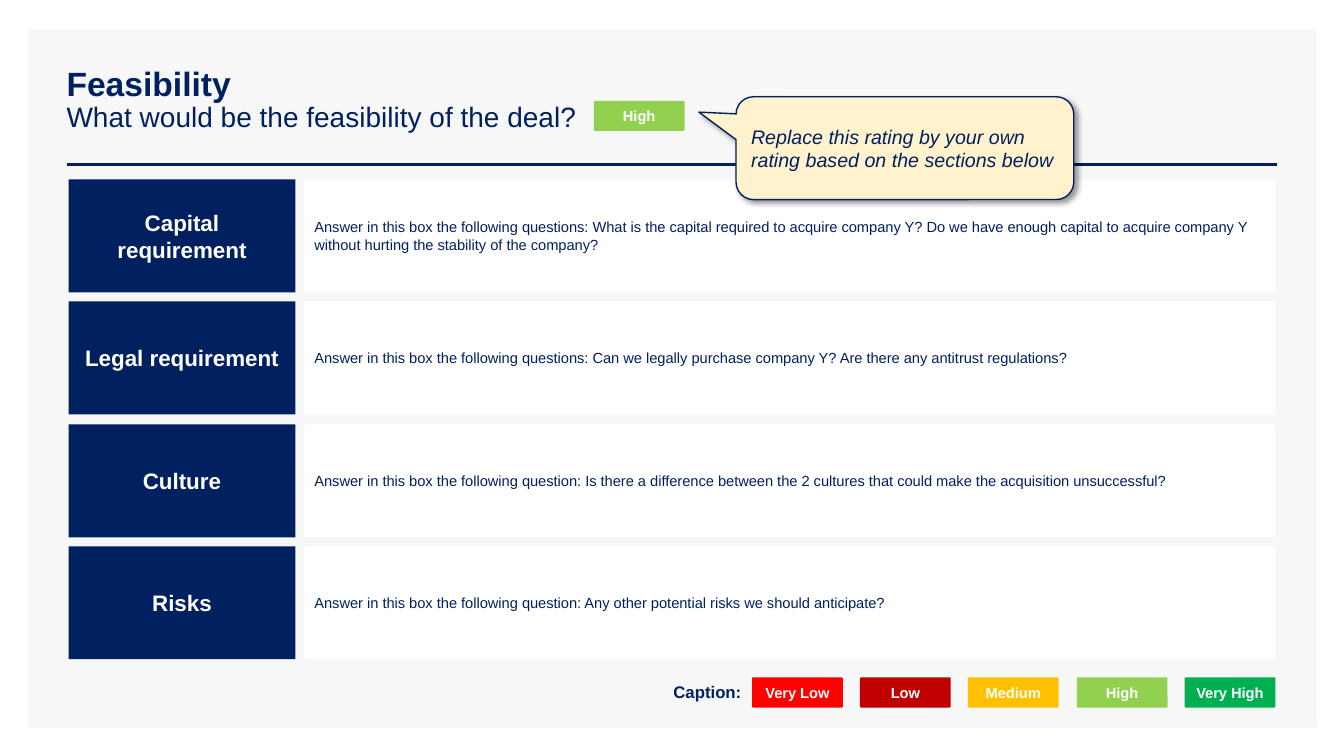
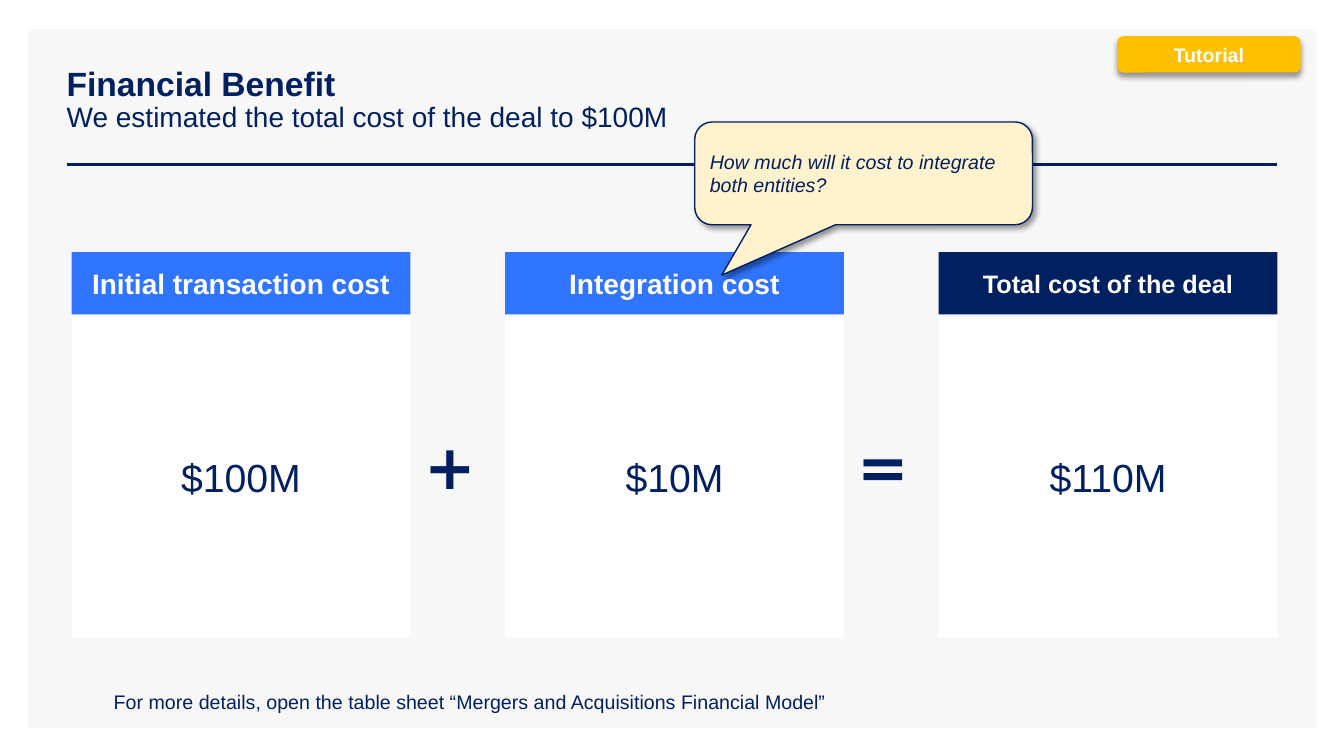
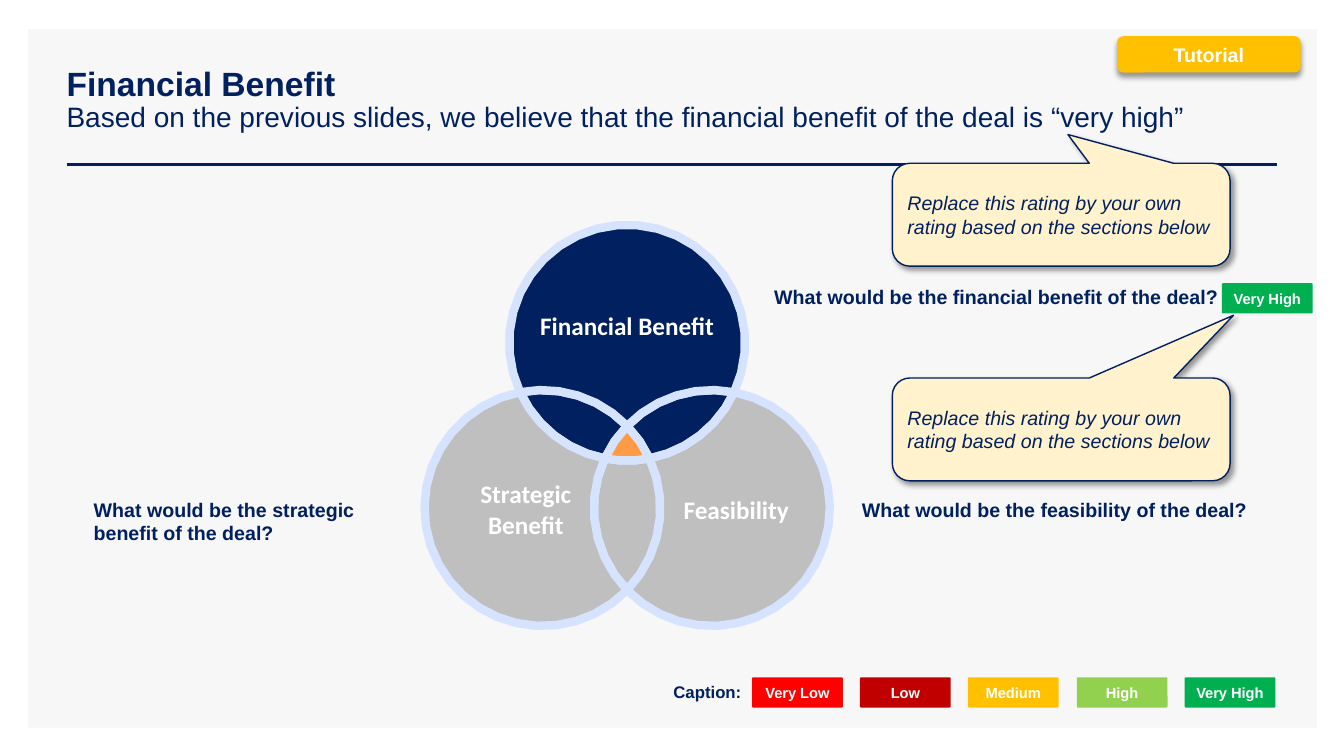
from dataclasses import dataclass
from math import atan2, ceil, cos, hypot, pi, sin

from lxml import etree
from pptx import Presentation
from pptx.dml.color import RGBColor
from pptx.enum.shapes import MSO_CONNECTOR, MSO_SHAPE
from pptx.enum.text import MSO_ANCHOR, MSO_AUTO_SIZE, PP_ALIGN
from pptx.oxml.ns import qn
from pptx.util import Pt

PX = 9144  # 100 px to the inch
RECT, ROUND = MSO_SHAPE.RECTANGLE, MSO_SHAPE.ROUNDED_RECTANGLE
PLATE, BUBBLE = MSO_SHAPE.PENTAGON, MSO_SHAPE.ROUNDED_RECTANGULAR_CALLOUT
STRAIGHT = MSO_CONNECTOR.STRAIGHT
LEFT, CENTER = PP_ALIGN.LEFT, PP_ALIGN.CENTER
TOP, MIDDLE = MSO_ANCHOR.TOP, MSO_ANCHOR.MIDDLE
FIXED = MSO_AUTO_SIZE.NONE


@dataclass(frozen=True)
class Theme:
    # Colours
    navy: str = "002060"
    blue: str = "3075FF"
    pale: str = "D6E3FF"
    grey: str = "BFBFBF"
    mist: str = "F7F7F7"
    white: str = "FFFFFF"
    cream: str = "FFF2CC"
    gold: str = "FFC000"
    orange: str = "FF9B45"
    # Fonts and sizes
    font: str = "Arial"
    round_font: str = "Calibri"
    sign_font: str = "DejaVu Sans"
    head: float = 24
    sub: float = 20
    large: float = 18
    label: float = 16
    note: float = 14
    key: float = 12
    small: float = 10.5
    sum: float = 28
    sign: float = 44


THEME = Theme()
RATES = {"Very Low": "FF0000", "Low": "C00000", "Medium": THEME.gold,
         "High": "92D050", "Very High": "00B050"}


def rgb(code):
    return RGBColor.from_string(code)


def spread(first, last, count):
    return [round(first + (last - first) * i / (count - 1)) for i in range(count)]


def write(shape, text, size=THEME.note, color=THEME.navy, bold=False, italic=False,
          font=THEME.font, align=LEFT, anchor=MIDDLE, wrap=True, pad=(10, 5, 10, 5)):
    """Fill a shape with text, one paragraph for each line."""
    frame = shape.text_frame
    frame.word_wrap, frame.vertical_anchor = wrap, anchor
    frame.margin_left, frame.margin_top, frame.margin_right, frame.margin_bottom = (
        side * PX for side in pad)
    for i, line in enumerate(text.split("\n")):
        para = frame.add_paragraph() if i else frame.paragraphs[0]
        para.alignment = align
        style(para.add_run(), line, size, color, bold, italic, font)


def style(run, text, size, color, bold, italic=False, font=THEME.font):
    run.text = text
    face = run.font
    face.name, face.size, face.bold, face.italic = font, Pt(size), bold, italic
    face.color.rgb = rgb(color)


class Deck:
    def __init__(self, theme):
        self.theme = theme
        self.file = Presentation()
        self.file.slide_width, self.file.slide_height = 1333 * PX, 750 * PX
        self.slide = None

    # Slide with its panel, rule and title
    def open(self, head, sub):
        t = self.theme
        self.slide = self.file.slides.add_slide(self.file.slide_layouts[5])
        panel = self.box(28, 29, 1278, 693, t.mist)
        rule = self.rule(66, 163, 1267)
        tree = self.slide.shapes._spTree
        tree.insert(2, panel._element)
        tree.insert(3, rule._element)
        title = self.slide.shapes.title
        title.left, title.top, title.width, title.height = (
            n * PX for n in (56, 40, 1211, 119))
        write(title, head, t.head, bold=True)
        title.text_frame.auto_size = FIXED
        para = title.text_frame.paragraphs[0]
        para.line_spacing = 0.9
        para.add_line_break()
        style(para.add_run(), sub, t.sub, t.navy, False)

    # Basic parts
    def paint(self, shape, fill, line=None, width=1):
        shape.shadow.inherit = False
        shape.fill.solid()
        shape.fill.fore_color.rgb = rgb(fill)
        if line:
            shape.line.color.rgb = rgb(line)
            shape.line.width = Pt(width)
        else:
            shape.line.fill.background()
        return shape

    def box(self, x, y, w, h, fill, kind=RECT, bends=(), line=None):
        shape = self.slide.shapes.add_shape(kind, x * PX, y * PX, w * PX, h * PX)
        for i, bend in enumerate(bends):
            shape.adjustments[i] = bend
        return self.paint(shape, fill, line)

    def rule(self, x, y, end):
        line = self.slide.shapes.add_connector(STRAIGHT, x * PX, y * PX, end * PX, y * PX)
        line.line.color.rgb = rgb(self.theme.navy)
        line.line.width = Pt(2)
        etree.SubElement(line._element.spPr, qn("a:effectLst"))
        return line

    def label(self, x, y, w, h, text, **look):
        shape = self.slide.shapes.add_textbox(x * PX, y * PX, w * PX, h * PX)
        write(shape, text, **{"anchor": TOP, **look})

    def shade(self, shape, angle):
        effects = shape._element.spPr.find(qn("a:effectLst"))
        cast = etree.SubElement(effects, qn("a:outerShdw"), blurRad=str(Pt(4)),
                                dist=str(Pt(3)), dir=str(angle * 60000),
                                algn="tl", rotWithShape="0")
        color = etree.SubElement(cast, qn("a:srgbClr"), val="000000")
        etree.SubElement(color, qn("a:alpha"), val="40000")

    # Ratings, hints and tags
    def rate(self, x, y, name):
        pill = self.box(x, y, 90, 30, RATES[name], ROUND, (0.04,))
        write(pill, name, self.theme.small, self.theme.white, bold=True, align=CENTER)

    def legend(self):
        for x, name in zip(spread(746, 1175, len(RATES)), RATES):
            self.rate(x, 672, name)
        self.label(658, 671, 95, 30, "Caption:", size=self.theme.key, bold=True)

    def hint(self, x, y, text, tip):
        t = self.theme
        shape = self.box(x, y, 335, 102, t.cream, BUBBLE, (*tip, 0.17), t.navy)
        self.shade(shape, 45)
        write(shape, text, italic=True)

    def tag(self, text):
        shape = self.box(1108, 36, 182, 36, self.theme.gold, ROUND)
        self.shade(shape, 90)
        write(shape, text, color=self.theme.white, bold=True, align=CENTER)

    # Closed outline
    def patch(self, points, fill):
        spots = [(round(x * PX), round(y * PX)) for x, y in points]
        pen = self.slide.shapes.build_freeform(*spots[0], scale=1.0)
        pen.add_line_segments(spots[1:], close=True)
        return self.paint(pen.convert_to_shape(), fill, self.theme.pale, 6)


# Three rings that overlap: T on top, L at left, R at right
RADIUS = 117
STEP = pi / 18
RINGS = {"T": (622, 340), "L": (538, 504), "R": (706, 504)}


def cross(pair):
    """Points where two rings meet: the outer, then the one inside the third."""
    (ax, ay), (bx, by) = (RINGS[name] for name in pair)
    third = next(RINGS[name] for name in RINGS if name not in pair)
    gap = hypot(bx - ax, by - ay)
    rise = (RADIUS ** 2 - gap ** 2 / 4) ** 0.5 / gap
    spots = [((ax + bx) / 2 + k * (by - ay) * rise,
              (ay + by) / 2 - k * (bx - ax) * rise) for k in (1, -1)]
    return sorted(spots, key=lambda p: -hypot(p[0] - third[0], p[1] - third[1]))


SPOTS = {}
for pair in ("TL", "TR", "LR"):
    SPOTS[pair], SPOTS[pair.lower()] = cross(pair)


def arc(ring, start, end):
    """Arc of a ring; the long way round when both ends are outer points."""
    cx, cy = RINGS[ring]
    first, last = (atan2(SPOTS[k][1] - cy, SPOTS[k][0] - cx) for k in (start, end))
    turn = (last - first + pi) % (2 * pi) - pi
    if start.isupper() and end.isupper():
        turn -= 2 * pi if turn > 0 else -2 * pi
    count = ceil(abs(turn) / STEP)
    return [(cx + RADIUS * cos(first + turn * i / count),
             cy + RADIUS * sin(first + turn * i / count)) for i in range(count)]


def region(rings, *ends):
    pairs = zip(rings, ends, ends[1:] + ends[:1])
    return [point for side in pairs for point in arc(*side)]


def main():
    t = THEME
    deck = Deck(t)
    advice = "Replace this rating by your own rating based on the sections below"

    # Slide 1: feasibility
    deck.open("Feasibility", "What would be the feasibility of the deal?")
    lead = "Answer in this box the following "
    topics = {
        "Capital requirement": "questions: What is the capital required to acquire company Y? "
        "Do we have enough capital to acquire company Y without hurting the stability "
        "of the company?",
        "Legal requirement": "questions: Can we legally purchase company Y? "
        "Are there any antitrust regulations?",
        "Culture": "question: Is there a difference between the 2 cultures "
        "that could make the acquisition unsuccessful?",
        "Risks": "question: Any other potential risks we should anticipate?",
    }
    for y, (name, ask) in zip(spread(178, 542, len(topics)), topics.items()):
        write(deck.box(68, y, 225, 112, t.navy, PLATE, (0,)), name, t.label,
              t.white, bold=True, align=CENTER)
        write(deck.box(302, y, 963, 112, t.white, PLATE, (0,)), lead + ask, t.small)
    deck.legend()
    deck.rate(589, 100, "High")
    deck.hint(730, 96, advice, (-0.61, -0.35))

    # Slide 2: cost of the deal
    deck.open("Financial Benefit", "We estimated the total cost of the deal to $100M")
    costs = [("Initial transaction cost", "$100M", t.blue, t.sub),
             ("Integration cost", "$10M", t.blue, t.sub),
             ("Total cost of the deal", "$110M", t.navy, t.large)]
    for x, (name, cost, fill, size) in zip(spread(71, 931, 3), costs):
        write(deck.box(x, 250, 336, 62, fill), name, size, t.white, bold=True, align=CENTER)
        write(deck.box(x, 314, 336, 318, t.white), cost, t.sum, align=CENTER)
    for x, sign in ((416, "+"), (846, "=")):
        deck.label(x, 419, 64, 84, sign, size=t.sign, bold=True, font=t.sign_font,
                   anchor=MIDDLE, wrap=False, pad=(5, 5, 5, 5))
    deck.label(103, 680, 776, 34, "For more details, open the table sheet "
               "“Mergers and Acquisitions Financial Model”")
    deck.hint(689, 121, "How much will it cost to integrate both entities?", (-0.42, 0.99))
    deck.tag("Tutorial")

    # Slide 3: rating of the benefit
    deck.open("Financial Benefit", "Based on the previous slides, we believe that "
              "the financial benefit of the deal is “very high”")
    deck.legend()
    deck.rate(1212, 281, "Very High")
    for x, y, w, h, part in ((758, 278, 468, 34, "financial benefit"),
                             (845, 489, 426, 34, "feasibility"),
                             (83, 489, 331, 57, "strategic benefit")):
        deck.label(x, y, w, h, f"What would be the {part} of the deal?", bold=True)

    # Overlaps, then the three main fields, then the core
    deck.patch(region("LRT", "TL", "lr", "tr"), t.navy)
    deck.patch(region("RLT", "TR", "lr", "tl"), t.navy)
    deck.patch(region("LRT", "tl", "LR", "tr"), t.grey)
    fields = [
        (region("TRL", "TL", "TR", "lr"), t.navy, "Financial Benefit", CENTER, 0),
        (region("TRL", "TL", "tr", "LR"), t.grey, "Strategic\nBenefit", CENTER, 0),
        (region("TLR", "TR", "tl", "LR"), t.grey, "Feasibility", LEFT, 56),
    ]
    for points, fill, name, align, inset in fields:
        write(deck.patch(points, fill), name, t.large, t.white, bold=True,
              font=t.round_font, align=align, pad=(inset, 5, 0, 5))
    deck.patch(region("RTL", "lr", "tr", "tl"), t.orange)
    deck.hint(885, 162, advice, (0.02, -0.78))
    deck.hint(885, 375, advice, (0.51, -1.11))
    deck.tag("Tutorial")

    deck.file.save("out.pptx")


if __name__ == "__main__":
    main()
